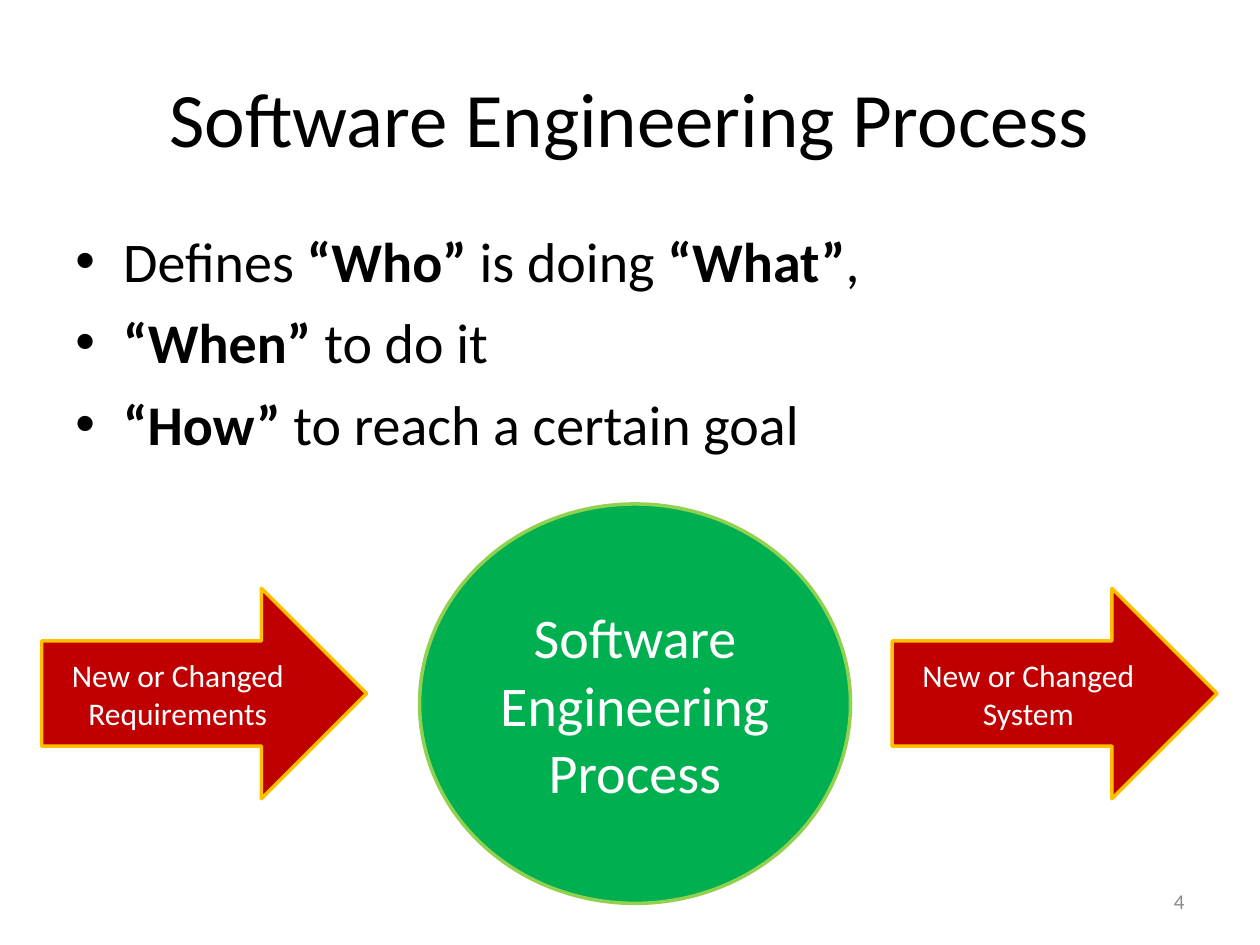
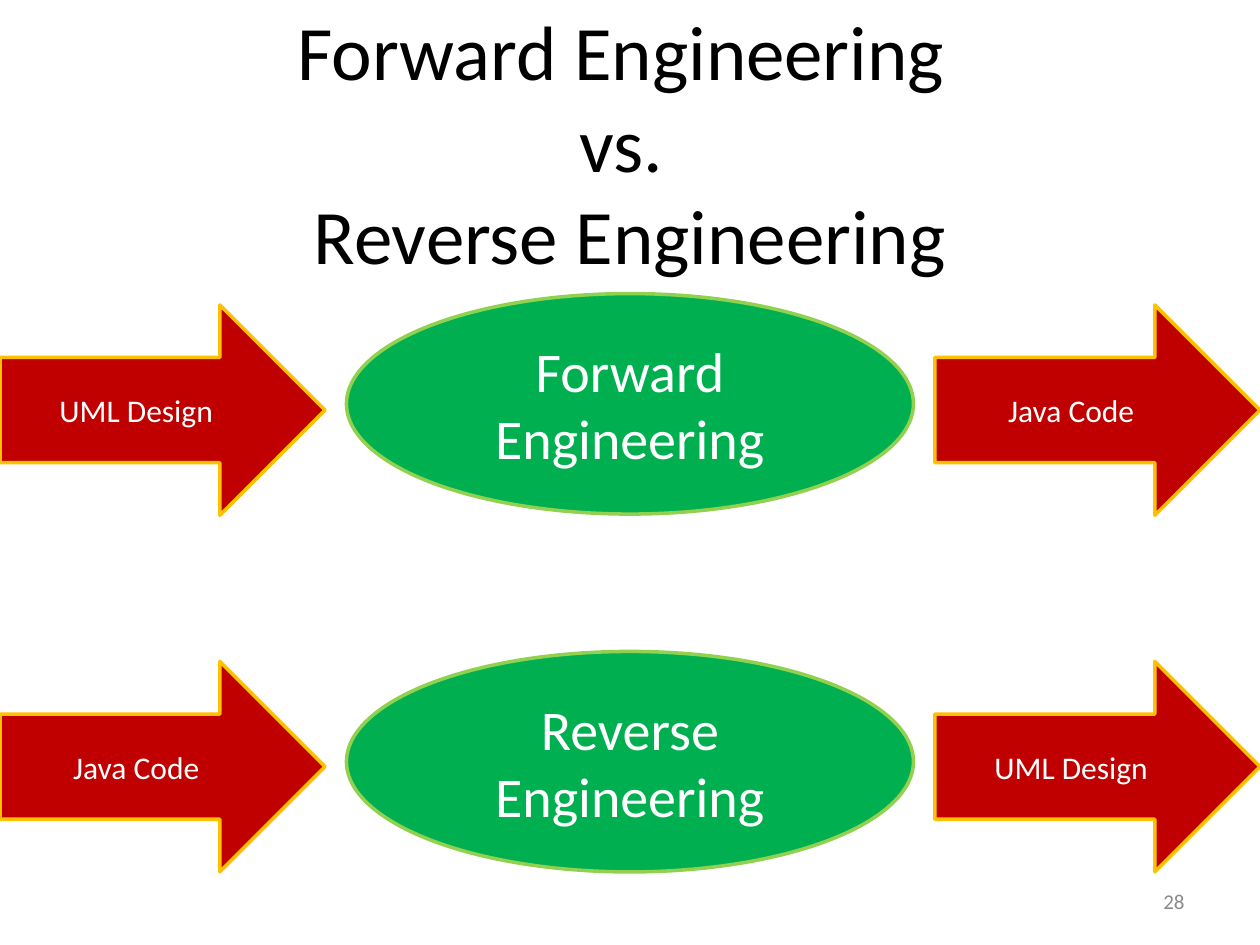
"""Builds two slides on software engineering processes as input, process and output flows."""
from dataclasses import dataclass

from lxml import etree
from pptx import Presentation
from pptx.dml.color import RGBColor
from pptx.enum.shapes import MSO_SHAPE
from pptx.enum.text import MSO_ANCHOR, PP_ALIGN
from pptx.oxml.ns import qn
from pptx.slide import Slide
from pptx.text.text import TextFrame, _Paragraph, _Run
from pptx.util import Inches, Pt

ARROW = MSO_SHAPE.RIGHT_ARROW
ELLIPSE = MSO_SHAPE.OVAL
LEFT, CENTER, RIGHT = PP_ALIGN.LEFT, PP_ALIGN.CENTER, PP_ALIGN.RIGHT
TOP, MIDDLE = MSO_ANCHOR.TOP, MSO_ANCHOR.MIDDLE

FONT = "Calibri"
COLORS = {
    "text": "000000",
    "number": "898989",
    "label": "FFFFFF",
    "arrow": "C00000",
    "arrow_line": "FFC000",
    "process": "00B050",
    "process_line": "92D050",
}
ARROW_SIZE = (2.58, 1.67)
BULLETS = [
    [("Defines ", False), ("“Who”", True), (" is doing ", False), ("“What”", True), (",", False)],
    [("“When”", True), (" to do it", False)],
    [("“How”", True), (" to reach a certain goal", False)],
]


@dataclass(frozen=True)
class Box:
    left: float
    top: float
    width: float
    height: float

    def lengths(self) -> tuple:
        return tuple(Inches(value) for value in (self.left, self.top, self.width, self.height))


@dataclass(frozen=True)
class Flow:
    source: str
    process: str
    result: str
    arrow_lefts: tuple[float, float]
    arrow_top: float
    ellipse: Box


FLOWS = [
    Flow("New or Changed Requirements", "Software Engineering Process", "New or Changed System",
         (0.33, 7.08), 4.67, Box(3.33, 4, 3.42, 3.17)),
    Flow("UML Design", "Forward Engineering", "Java Code",
         (0, 7.42), 2.42, Box(2.75, 2.33, 4.5, 1.75)),
    Flow("Java Code", "Reverse Engineering", "UML Design",
         (0, 7.42), 5.25, Box(2.75, 5.17, 4.5, 1.75)),
]


def style_run(run: _Run, size: float, color: str, bold: bool = False) -> None:
    run.font.name = FONT
    run.font.size = Pt(size)
    run.font.bold = bold
    run.font.color.rgb = RGBColor.from_string(COLORS[color])


def write_text(frame: TextFrame, text: str, size: float, color: str, align: PP_ALIGN) -> None:
    frame.word_wrap = True
    frame.vertical_anchor = MIDDLE
    frame.text = text
    for paragraph in frame.paragraphs:
        paragraph.alignment = align
        for run in paragraph.runs:
            style_run(run, size, color)


def add_text(slide: Slide, box: Box, text: str, size: float, color: str, align: PP_ALIGN) -> None:
    shape = slide.shapes.add_textbox(*box.lengths())
    write_text(shape.text_frame, text, size, color, align)


def add_bullet(paragraph: _Paragraph) -> None:
    properties = paragraph._p.get_or_add_pPr()
    indent = Inches(0.38)
    properties.set("marL", str(indent))
    properties.set("indent", str(-indent))
    etree.SubElement(properties, qn("a:buFont")).set("typeface", "Arial")
    etree.SubElement(properties, qn("a:buChar")).set("char", "•")


def add_bullet_list(slide: Slide, box: Box) -> None:
    frame = slide.shapes.add_textbox(*box.lengths()).text_frame
    frame.word_wrap = True
    frame.vertical_anchor = TOP
    for index, parts in enumerate(BULLETS):
        paragraph = frame.add_paragraph() if index else frame.paragraphs[0]
        add_bullet(paragraph)
        paragraph.alignment = LEFT
        if index:
            paragraph.space_before = Pt(8)
        for text, bold in parts:
            run = paragraph.add_run()
            run.text = text
            style_run(run, 32, "text", bold)


def add_node(slide: Slide, kind: MSO_SHAPE, box: Box, text: str, size: float, color: str) -> None:
    shape = slide.shapes.add_shape(kind, *box.lengths())
    shape.shadow.inherit = False
    shape.fill.solid()
    shape.fill.fore_color.rgb = RGBColor.from_string(COLORS[color])
    shape.line.color.rgb = RGBColor.from_string(COLORS[f"{color}_line"])
    shape.line.width = Pt(2)
    write_text(shape.text_frame, text, size, "label", CENTER)


def add_flow(slide: Slide, flow: Flow) -> None:
    for left, text in zip(flow.arrow_lefts, (flow.source, flow.result)):
        add_node(slide, ARROW, Box(left, flow.arrow_top, *ARROW_SIZE), text, 18, "arrow")
    add_node(slide, ELLIPSE, flow.ellipse, flow.process, 32, "process")


def add_slide(presentation: Presentation, title: str, title_top: float, number: int) -> Slide:
    slide = presentation.slides.add_slide(presentation.slide_layouts[6])
    add_text(slide, Box(0.5, title_top, 9, 1.25), title, 44, "text", CENTER)
    add_text(slide, Box(7.17, 6.95, 2.33, 0.4), str(number), 12, "number", RIGHT)
    return slide


def main() -> None:
    presentation = Presentation()
    presentation.slide_width = Inches(10)
    presentation.slide_height = Inches(7.5)

    process_slide = add_slide(presentation, "Software Engineering Process", 0.3, 4)
    add_bullet_list(process_slide, Box(0.5, 1.75, 9, 4.95))
    add_flow(process_slide, FLOWS[0])

    comparison_title = "Forward Engineering \vvs. \vReverse Engineering"
    comparison_slide = add_slide(presentation, comparison_title, 0.5, 28)
    for flow in FLOWS[1:]:
        add_flow(comparison_slide, flow)

    presentation.save("out.pptx")


if __name__ == "__main__":
    main()
